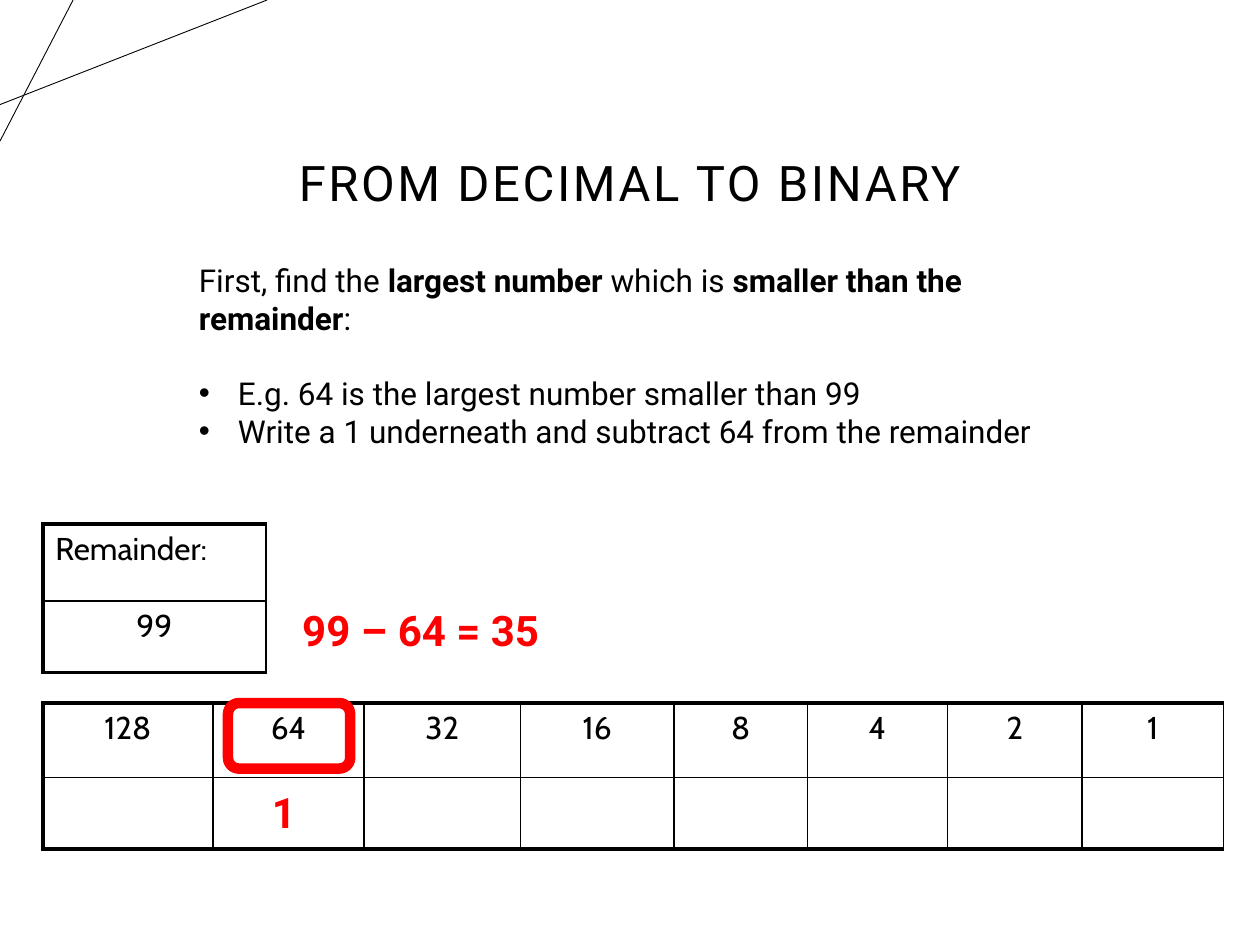
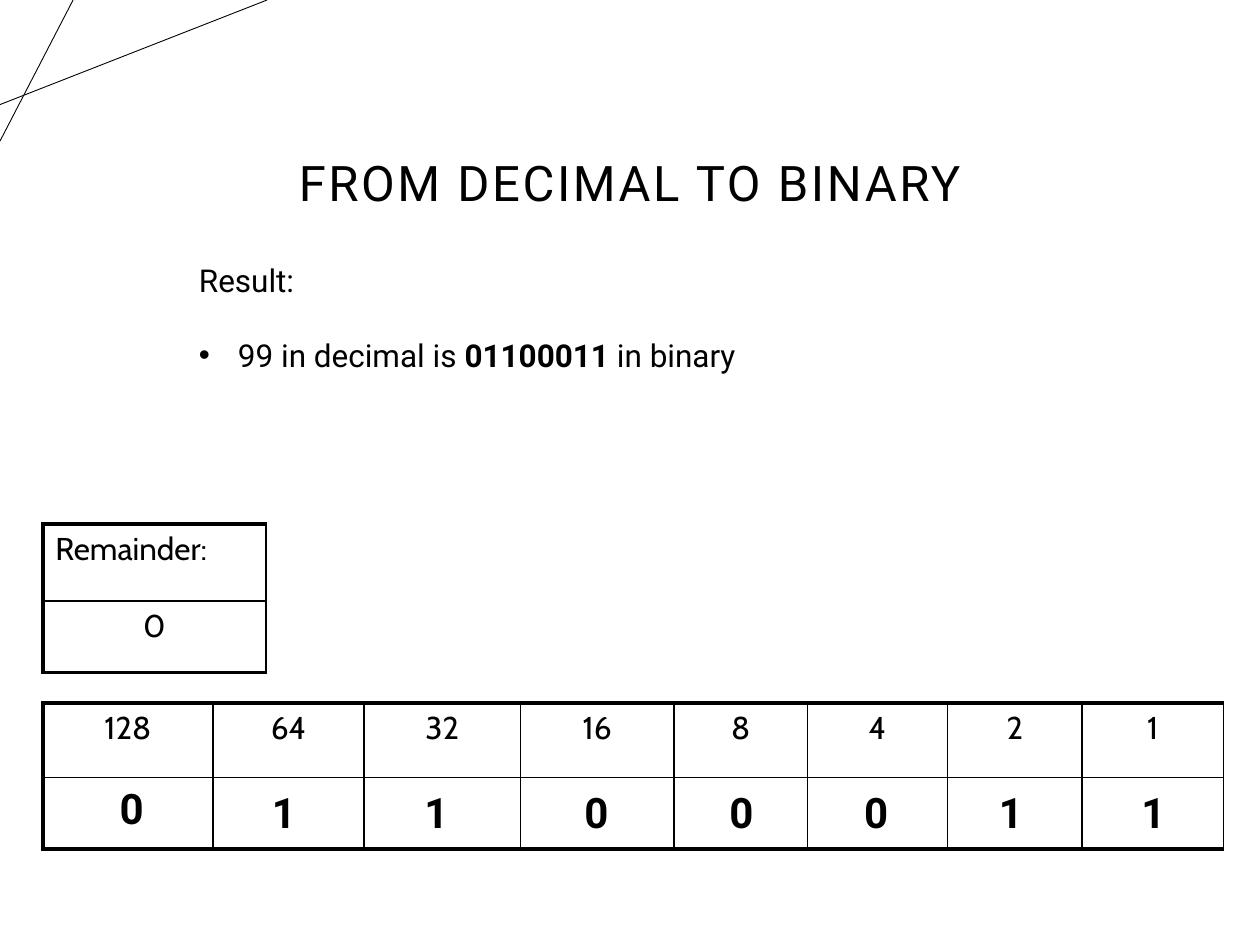
from dataclasses import dataclass
from typing import NamedTuple

from lxml.etree import SubElement
from pptx import Presentation
from pptx.dml.color import RGBColor
from pptx.enum.shapes import MSO_CONNECTOR, MSO_SHAPE
from pptx.enum.text import MSO_ANCHOR, PP_ALIGN
from pptx.oxml import parse_xml
from pptx.oxml.ns import nsdecls, qn
from pptx.shapes.autoshape import Shape
from pptx.slide import Slide
from pptx.table import _Cell
from pptx.text.text import TextFrame, _Paragraph, _Run
from pptx.util import Inches, Pt


@dataclass(frozen=True)
class Theme:
    black: RGBColor = RGBColor(0x00, 0x00, 0x00)
    red: RGBColor = RGBColor(0xFF, 0x00, 0x00)
    font: str = "Roboto"
    table_font: str = "Cabin"
    title_size: float = 28
    body_size: float = 18
    digit_size: float = 24
    body_gap: float = 21.5
    decoration_line: float = 0.5
    thin_border: float = 1
    thick_border: float = 2.25
    highlight_line: float = 6


class Box(NamedTuple):
    left: float
    top: float
    width: float
    height: float

    def lengths(self) -> list[int]:
        return [Inches(value) for value in self]


class Place(NamedTuple):
    """A binary place: its table column and the box of its digit."""
    value: int
    column_width: float
    digit_left: float
    digit_top: float = 6.19
    digit_width: float = 0.32


class Step(NamedTuple):
    """The content of one slide; ** encloses bold words."""
    lead: str
    bullets: list[str]
    body_height: float
    remainder: int
    digits: dict[int, str]
    color: RGBColor
    highlighted: int | None = None
    subtraction: str = ""


THEME = Theme()
TITLE = "FROM DECIMAL TO BINARY"
DECORATIONS = [(0, 0.83, 2.12, 0), (0.58, 0, 0, 1.12)]
TABLE_LEFT = 0.34
PLACES = [
    Place(128, 1.35, 0.85, digit_top=6.16),
    Place(64, 1.2, 2.06),
    Place(32, 1.24, 3.27),
    Place(16, 1.22, 4.54),
    Place(8, 1.06, 5.69),
    Place(4, 1.11, 6.76),
    Place(2, 1.07, 7.83, digit_width=0.7),
    Place(1, 1.12, 8.96, digit_width=0.7),
]
STEPS = [
    Step(
        "First, find the **largest number** which is **smaller than the remainder**:",
        ["E.g. 64 is the largest number smaller than 99",
         "Write a 1 underneath and subtract 64 from the remainder"],
        1.62, 99, {64: "1"}, THEME.red, 64, "99 – 64 = 35",
    ),
    Step(
        "Result:",
        ["99 in decimal is **01100011** in binary"],
        1.01, 0,
        {place.value: digit for place, digit in zip(PLACES, "01100011")},
        THEME.black,
    ),
]


# Text
def format_run(run: _Run, size: float, color: RGBColor = THEME.black,
               bold: bool = False, font: str = THEME.font) -> None:
    run.font.name = font
    run.font.size = Pt(size)
    run.font.color.rgb = color
    run.font.bold = bold


def add_text_frame(slide: Slide, box: Box) -> TextFrame:
    text_frame = slide.shapes.add_textbox(*box.lengths()).text_frame
    text_frame.word_wrap = True
    return text_frame


def add_bold_text(slide: Slide, box: Box, text: str, color: RGBColor) -> None:
    text_frame = add_text_frame(slide, box)
    text_frame.text = text
    format_run(text_frame.paragraphs[0].runs[0], THEME.digit_size, color, bold=True)


def fill_paragraph(paragraph: _Paragraph, marked_text: str) -> None:
    for index, part in enumerate(marked_text.split("**")):
        run = paragraph.add_run()
        run.text = part
        format_run(run, THEME.body_size, bold=index % 2 == 1)


def set_bullet(paragraph: _Paragraph) -> None:
    properties = paragraph._p.get_or_add_pPr()
    properties.set("marL", str(Inches(0.31)))
    properties.set("indent", str(-Inches(0.31)))
    SubElement(properties, qn("a:buFont")).set("typeface", "Arial")
    SubElement(properties, qn("a:buChar")).set("char", "•")


def add_title(slide: Slide) -> None:
    text_frame = add_text_frame(slide, Box(0.69, 0.75, 8.62, 1.45))
    text_frame.vertical_anchor = MSO_ANCHOR.MIDDLE
    text_frame.text = TITLE
    paragraph = text_frame.paragraphs[0]
    paragraph.alignment = PP_ALIGN.CENTER
    paragraph.line_spacing = 0.9
    run = paragraph.runs[0]
    format_run(run, THEME.title_size)
    run.font._element.set("spc", "150")


def add_body(slide: Slide, step: Step) -> None:
    text_frame = add_text_frame(slide, Box(1.48, 2.02, 7.15, step.body_height))
    fill_paragraph(text_frame.paragraphs[0], step.lead)
    for index, bullet in enumerate(step.bullets):
        paragraph = text_frame.add_paragraph()
        paragraph.space_before = Pt(THEME.body_gap if index == 0 else 0)
        set_bullet(paragraph)
        fill_paragraph(paragraph, bullet)


# Tables
def set_borders(cell: _Cell, widths: dict[str, float]) -> None:
    properties = cell._tc.get_or_add_tcPr()
    for index, (side, width) in enumerate(widths.items()):
        properties.insert(index, parse_xml(
            f'<a:ln{side} {nsdecls("a")} w="{Pt(width)}"><a:solidFill>'
            f'<a:srgbClr val="{THEME.black}"/></a:solidFill></a:ln{side}>'))


def add_grid(slide: Slide, top: float, column_widths: list[float],
             row_heights: list[float], rows: list[list[str]]) -> None:
    box = Box(TABLE_LEFT, top, sum(column_widths), sum(row_heights))
    table = slide.shapes.add_table(
        len(rows), len(column_widths), *box.lengths()).table
    table.first_row = table.horz_banding = False
    for column, width in zip(table.columns, column_widths):
        column.width = Inches(width)
    for row, height in zip(table.rows, row_heights):
        row.height = Inches(height)
    thin, thick = THEME.thin_border, THEME.thick_border
    for row_index, texts in enumerate(rows):
        for column_index, text in enumerate(texts):
            cell = table.cell(row_index, column_index)
            cell.fill.background()
            set_borders(cell, {
                "L": thick if column_index == 0 else thin,
                "R": thin,
                "T": thick if row_index == 0 else thin,
                "B": thick if row_index == len(rows) - 1 else thin,
            })
            cell.text_frame.text = text
            paragraph = cell.text_frame.paragraphs[0]
            is_label = text.endswith(":")
            paragraph.alignment = PP_ALIGN.LEFT if is_label else PP_ALIGN.CENTER
            for run in paragraph.runs:
                format_run(run, THEME.body_size, font=THEME.table_font)


# Lines and highlight
def add_decorations(slide: Slide) -> None:
    for ends in DECORATIONS:
        line = slide.shapes.add_connector(
            MSO_CONNECTOR.STRAIGHT, *[Inches(value) for value in ends])
        line.line.color.rgb = THEME.black
        line.line.width = Pt(THEME.decoration_line)
        SubElement(line._element.spPr, qn("a:effectLst"))


def add_highlight(slide: Slide, value: int) -> Shape:
    place = next(place for place in PLACES if place.value == value)
    box = Box(place.digit_left - 0.25, 5.58, 0.97, 0.52)
    frame = slide.shapes.add_shape(MSO_SHAPE.ROUNDED_RECTANGLE, *box.lengths())
    frame.shadow.inherit = False
    frame.fill.background()
    frame.line.color.rgb = THEME.red
    frame.line.width = Pt(THEME.highlight_line)
    return frame


# Slides
def add_step_slide(presentation: Presentation, step: Step) -> None:
    slide = presentation.slides.add_slide(presentation.slide_layouts[6])
    add_decorations(slide)
    add_title(slide)
    add_body(slide, step)
    add_grid(slide, 5.58, [place.column_width for place in PLACES], [0.59, 0.57],
             [[str(place.value) for place in PLACES], [""] * len(PLACES)])
    add_grid(slide, 4.16, [1.77], [0.61, 0.57],
             [["Remainder:"], [str(step.remainder)]])
    if step.highlighted is not None:
        add_highlight(slide, step.highlighted)
    for place in PLACES:
        if place.value in step.digits:
            box = Box(place.digit_left, place.digit_top, place.digit_width, 0.5)
            add_bold_text(slide, box, step.digits[place.value], step.color)
    if step.subtraction:
        add_bold_text(slide, Box(2.3, 4.75, 3.81, 0.5), step.subtraction, step.color)


def main() -> None:
    presentation = Presentation()
    presentation.slide_width = Inches(10)
    presentation.slide_height = Inches(7.5)
    for step in STEPS:
        add_step_slide(presentation, step)
    presentation.save("out.pptx")


if __name__ == "__main__":
    main()
